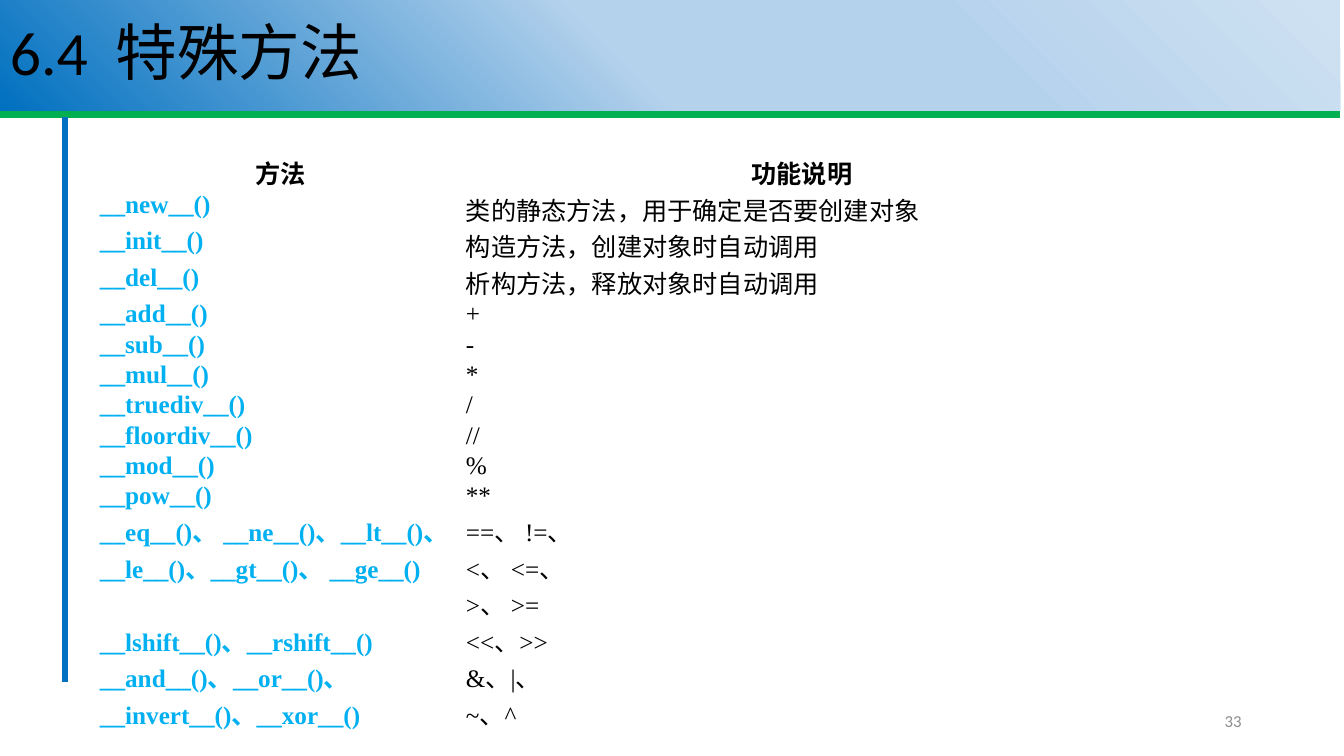
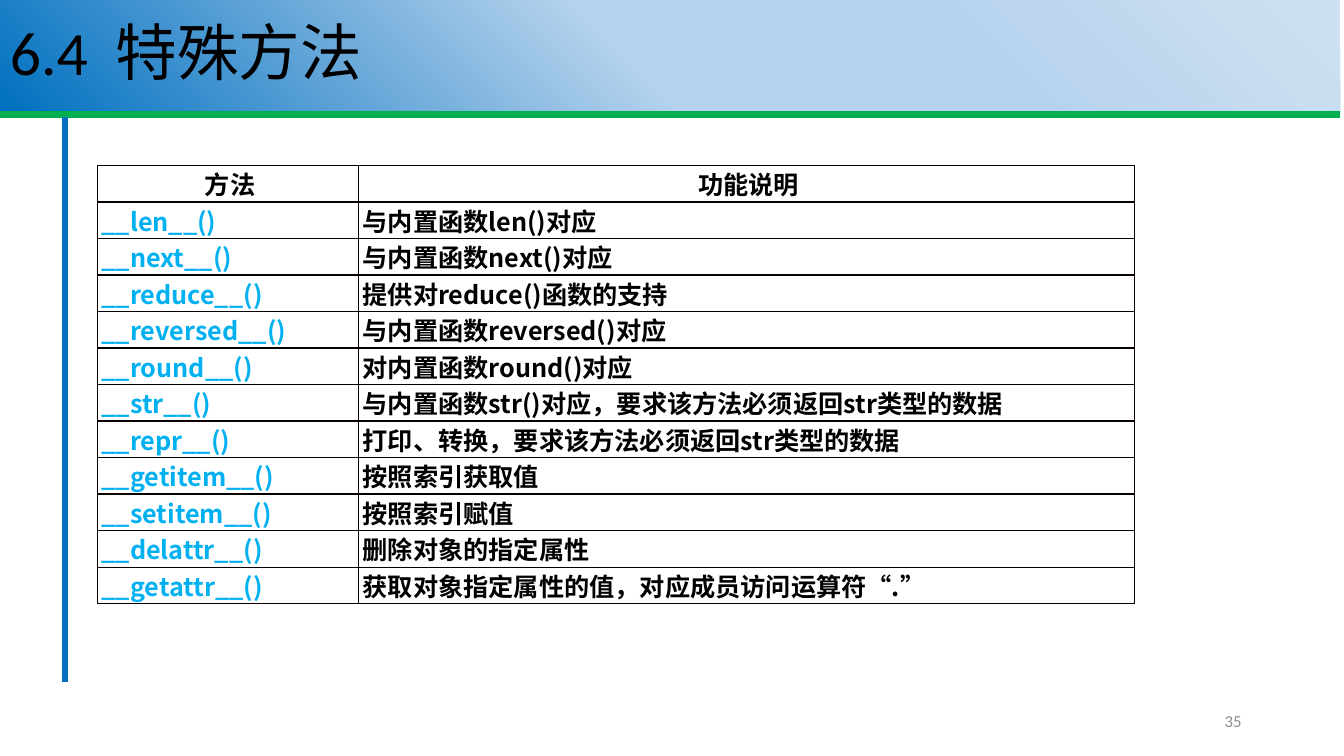
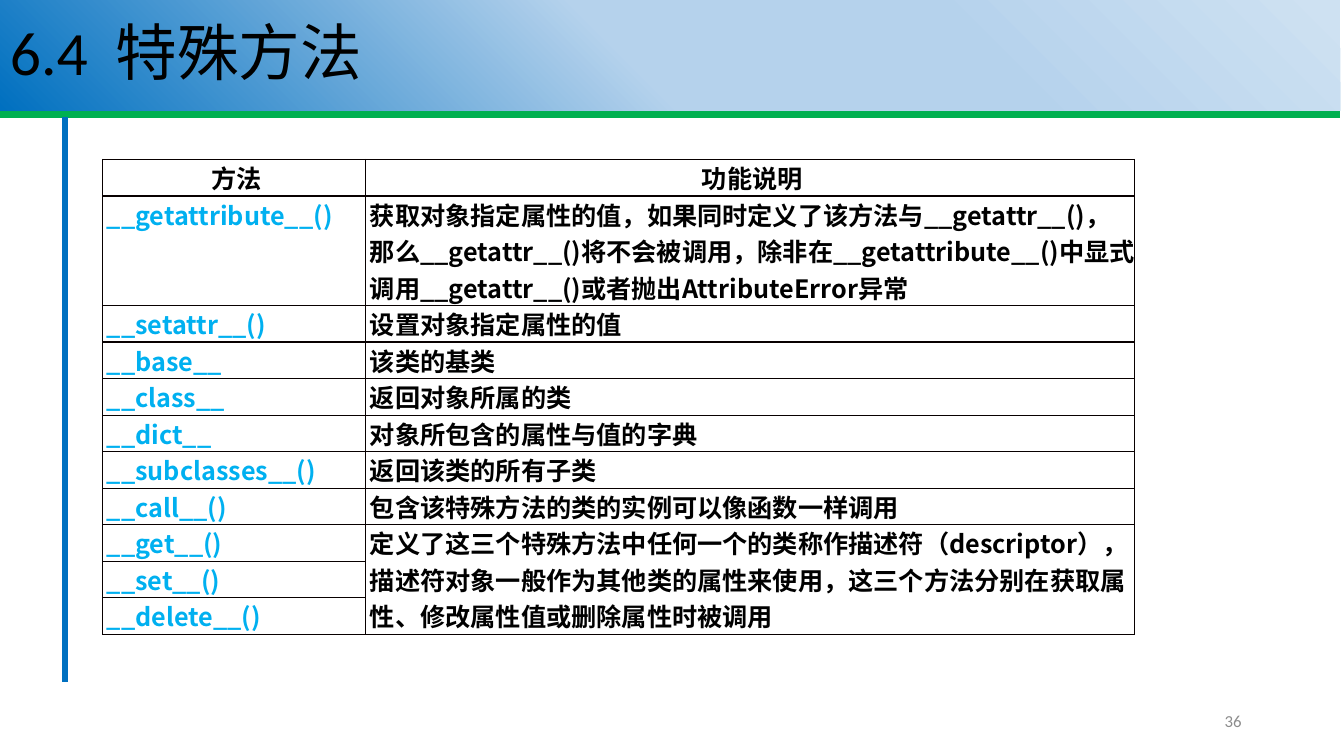
from lxml.etree import SubElement
from pptx import Presentation
from pptx.dml.color import RGBColor
from pptx.enum.shapes import MSO_CONNECTOR, MSO_SHAPE
from pptx.enum.text import MSO_ANCHOR, PP_ALIGN
from pptx.oxml.ns import qn
from pptx.util import Cm, Pt

WIDTH, HEIGHT = 33.87, 19.05
BAND_WIDTH, BAND_HEIGHT = 33.78, 2.79
BLACK, GREEN, BLUE, CYAN, GRAY = "000000", "00B050", "0070C0", "00B0F0", "8C8C8C"
BORDER = "080000"
BAND_STOPS = [(1, "CEE1F2"), (29, "B5D2EC"), (53, "B5D2EC"), (100, BLUE)]
SANS, SERIF, CJK = "Calibri", "Times New Roman", "Noto Sans CJK SC"
NO_STYLE = "{2D5ABB26-0587-4C30-8999-92F81FD0307C}"
CJK_LINE, SERIF_LINE = 0.92, 0.71
TITLE = "6.4  特殊方法"
HEADER = ("方法", "功能说明")

OPERATORS = [
    ("__new__()", "类的静态方法，用于确定是否要创建对象"),
    ("__init__()", "构造方法，创建对象时自动调用"),
    ("__del__()", "析构方法，释放对象时自动调用"),
    ("__add__()", "+"),
    ("__sub__()", "-"),
    ("__mul__()", "*"),
    ("__truediv__()", "/"),
    ("__floordiv__()", "//"),
    ("__mod__()", "%"),
    ("__pow__()", "**"),
    ("__eq__()、 __ne__()、__lt__()、 __le__()、__gt__()、 __ge__()",
     "==、 !=、\n<、 <=、\n>、 >="),
    ("__lshift__()、__rshift__()", "<<、>>"),
    ("__and__()、__or__()、__invert__()、__xor__()", "&、|、\n~、^"),
]

BUILTINS = [
    ("__len__()", "与内置函数len()对应"),
    ("__next__()", "与内置函数next()对应"),
    ("__reduce__()", "提供对reduce()函数的支持"),
    ("__reversed__()", "与内置函数reversed()对应"),
    ("__round__()", "对内置函数round()对应"),
    ("__str__()", "与内置函数str()对应，要求该方法必须返回str类型的数据"),
    ("__repr__()", "打印、转换，要求该方法必须返回str类型的数据"),
    ("__getitem__()", "按照索引获取值"),
    ("__setitem__()", "按照索引赋值"),
    ("__delattr__()", "删除对象的指定属性"),
    ("__getattr__()", "获取对象指定属性的值，对应成员访问运算符“.”"),
]

ATTRIBUTES = [
    ("__getattribute__()",
     "获取对象指定属性的值，如果同时定义了该方法与__getattr__()，"
     "那么__getattr__()将不会被调用，除非在__getattribute__()中"
     "显式调用__getattr__()或者抛出AttributeError异常"),
    ("__setattr__()", "设置对象指定属性的值"),
    ("__base__", "该类的基类"),
    ("__class__", "返回对象所属的类"),
    ("__dict__", "对象所包含的属性与值的字典"),
    ("__subclasses__()", "返回该类的所有子类"),
    ("__call__()", "包含该特殊方法的类的实例可以像函数一样调用"),
    ("__get__()",
     "定义了这三个特殊方法中任何一个的类称作描述符（descriptor），"
     "描述符对象一般作为其他类的属性来使用，"
     "这三个方法分别在获取属性、修改属性值或删除属性时被调用"),
    ("__set__()", None),
    ("__delete__()", None),
]


def rgb(value):
    """Return the colour for a hex string."""
    return RGBColor.from_string(value)


def write(tf, text, size=18, font=SANS, color=BLACK, bold=False,
          align=PP_ALIGN.LEFT, spacing=None):
    """Write each line of the text as one formatted paragraph."""
    for i, line in enumerate(text.split("\n")):
        p = tf.add_paragraph() if i else tf.paragraphs[0]
        p.alignment = align
        p.line_spacing = spacing
        r = p.add_run()
        r.text = line
        r.font.size = Pt(size)
        r.font.bold = bold
        r.font.color.rgb = rgb(color)
        r.font.name = font
        SubElement(r.font._element, qn("a:ea"), typeface=CJK)


def add_line(s, x1, y1, x2, y2, color, width):
    """Draw a straight line without shadow."""
    line = s.shapes.add_connector(MSO_CONNECTOR.STRAIGHT, Cm(x1), Cm(y1), Cm(x2), Cm(y2))
    line.line.color.rgb = rgb(color)
    line.line.width = Pt(width)
    SubElement(line._element.spPr, qn("a:effectLst"))


def add_band(s, text):
    """Draw the gradient title band."""
    sp = s.shapes.add_shape(MSO_SHAPE.RECTANGLE, 0, 0, Cm(BAND_WIDTH), Cm(BAND_HEIGHT))
    sp.shadow.inherit = False
    sp.line.fill.background()
    sp.fill.gradient()
    sp.fill.gradient_angle = 225
    stops = sp._element.spPr.find(qn("a:gradFill")).find(qn("a:gsLst"))
    stops.clear()
    for position, color in BAND_STOPS:
        stop = SubElement(stops, qn("a:gs"), pos=str(position * 1000))
        SubElement(stop, qn("a:srgbClr"), val=color)
    sp.text_frame.word_wrap = True
    sp.text_frame.vertical_anchor = MSO_ANCHOR.MIDDLE
    write(sp.text_frame, text, size=44, spacing=0.9)


def add_page_number(s, number):
    """Write the page number at the bottom right."""
    tf = s.shapes.add_textbox(Cm(23.92), Cm(17.66), Cm(7.62), Cm(1.01)).text_frame
    tf.word_wrap = True
    tf.vertical_anchor = MSO_ANCHOR.MIDDLE
    write(tf, str(number), size=12, color=GRAY, align=PP_ALIGN.RIGHT)


def add_slide(prs, number):
    """Add a slide with the shared band, lines and page number."""
    s = prs.slides.add_slide(prs.slide_layouts[6])
    add_line(s, 0, 2.88, BAND_WIDTH, 2.88, GREEN, 5.25)
    add_line(s, 1.64, 2.95, 1.64, 17.18, BLUE, 3.75)
    add_band(s, TITLE)
    add_page_number(s, number)
    return s


def format_cell(cell, grid):
    """Set the margins, borders and empty fill of a cell."""
    cell.margin_left = Cm(0.1)
    cell.margin_right = cell.margin_top = cell.margin_bottom = 0
    tcPr = cell._tc.get_or_add_tcPr()
    for side in ("lnL", "lnR", "lnT", "lnB") if grid else ():
        ln = SubElement(tcPr, qn(f"a:{side}"), w=str(Pt(1)))
        SubElement(SubElement(ln, qn("a:solidFill")), qn("a:srgbClr"), val=BORDER)
    cell.fill.background()


def row_height(row, font, lines):
    """Return the height of a row with the given number of lines."""
    narrow = font == SERIF and all(text.isascii() for text in row)
    return lines * (SERIF_LINE if narrow else CJK_LINE)


def add_method_table(s, x, y, widths, methods, tall=None, font=CJK, bold=True, grid=True):
    """Add a table of methods; None joins the cell above, tall maps rows to line counts."""
    rows = [HEADER, *methods]
    heights = [row_height(row, font, (tall or {}).get(row[0], 1)) for row in rows]
    table = s.shapes.add_table(len(rows), len(widths), Cm(x), Cm(y),
                               Cm(sum(widths)), Cm(sum(heights))).table
    table._tbl.tblPr.find(qn("a:tableStyleId")).text = NO_STYLE
    table.first_row = table.horz_banding = False
    for column, width in zip(table.columns, widths):
        column.width = Cm(width)
    for i, row in enumerate(rows):
        table.rows[i].height = Cm(heights[i])
        for j, text in enumerate(row):
            cell = table.cell(i, j)
            format_cell(cell, grid)
            if text is None:
                continue
            write(cell.text_frame, text, font=font,
                  color=CYAN if i and j == 0 else BLACK,
                  bold=bold or i == 0 or j == 0,
                  align=PP_ALIGN.LEFT if i else PP_ALIGN.CENTER)
            last = i
            while last + 1 < len(rows) and rows[last + 1][j] is None:
                last += 1
            if last > i:
                cell.merge(table.cell(last, j))


def main():
    """Build and save the presentation."""
    prs = Presentation()
    prs.slide_width, prs.slide_height = Cm(WIDTH), Cm(HEIGHT)
    add_method_table(add_slide(prs, 33), 2.42, 3.89, (9.22, 17.04), OPERATORS,
                     tall={OPERATORS[10][0]: 3, OPERATORS[12][0]: 2},
                     font=SERIF, bold=False, grid=False)
    add_method_table(add_slide(prs, 35), 2.46, 4.17, (6.58, 19.56), BUILTINS)
    add_method_table(add_slide(prs, 36), 2.59, 4.02, (6.63, 19.38), ATTRIBUTES,
                     tall={ATTRIBUTES[0][0]: 3})
    prs.save("out.pptx")


if __name__ == "__main__":
    main()
